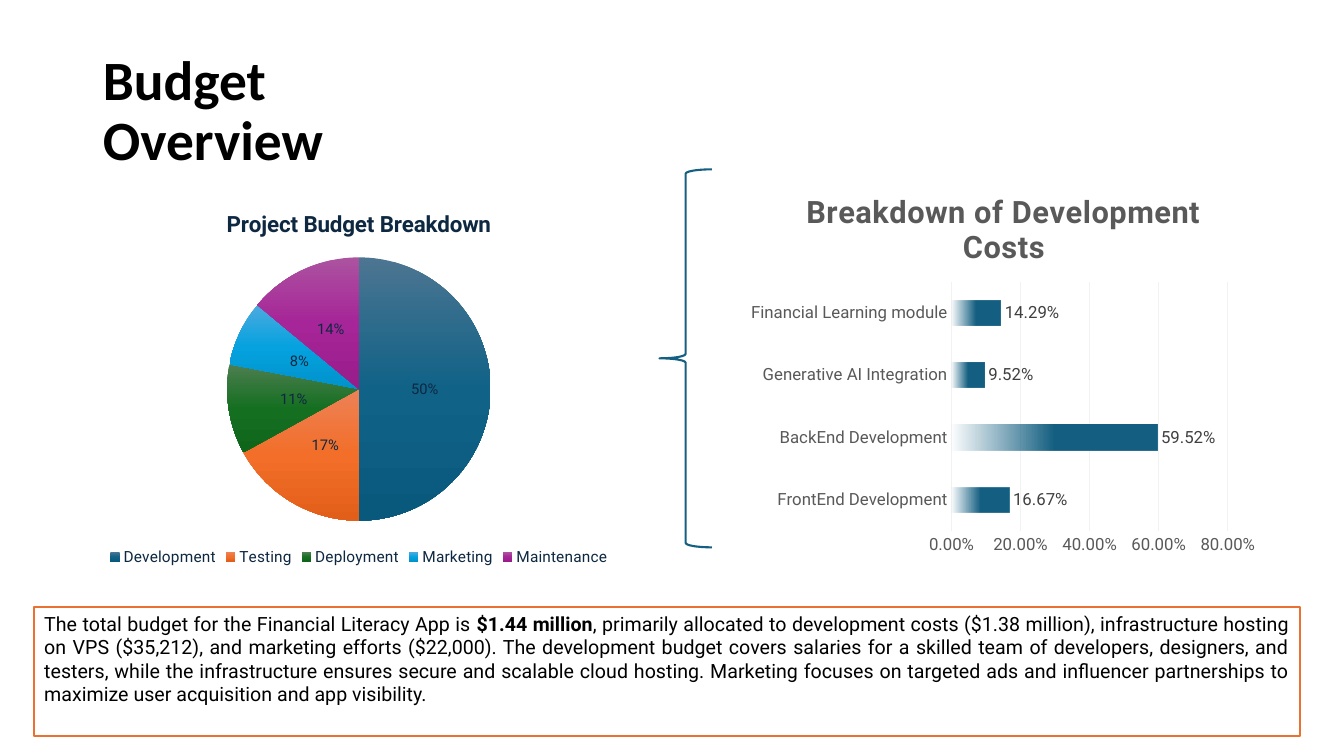
import lxml.etree
import pptx
import pptx.chart.data
import pptx.dml.color
import pptx.enum.chart
import pptx.enum.shapes
import pptx.enum.text
import pptx.oxml
import pptx.oxml.ns
import pptx.util

Inches, Pt = pptx.util.Inches, pptx.util.Pt
qn = pptx.oxml.ns.qn


def style(font, size, colour, name="Roboto", bold=False):
    font.size, font.name, font.bold = Pt(size), name, bold
    font.color.rgb = pptx.dml.color.RGBColor.from_string(colour)


def set_plot_area(chart, **fractions):
    """Place the inner plot area at x, y, w, h as fractions of the chart."""
    plot_area = chart.element.find(".//" + qn("c:plotArea"))
    for old_layout in plot_area.findall(qn("c:layout")):
        plot_area.remove(old_layout)
    layout = lxml.etree.Element(qn("c:layout"))
    manual = lxml.etree.SubElement(layout, qn("c:manualLayout"))
    settings = {"layoutTarget": "inner", "xMode": "edge", "yMode": "edge", **fractions}
    for tag, value in settings.items():
        lxml.etree.SubElement(manual, qn("c:" + tag)).set("val", str(value))
    plot_area.insert(0, layout)


prs = pptx.Presentation()
prs.slide_width, prs.slide_height = Inches(13.33), Inches(7.5)
slide = prs.slides.add_slide(prs.slide_layouts[5])

# Title
title = slide.shapes.title
title.left, title.top = Inches(0.92), Inches(0.89)
title.width, title.height = Inches(3.05), Inches(0.46)
title.text_frame.text = "Budget Overview"
title.text_frame.word_wrap = True
title.text_frame.auto_size = pptx.enum.text.MSO_AUTO_SIZE.NONE
title.text_frame.vertical_anchor = pptx.enum.text.MSO_ANCHOR.MIDDLE
heading = title.text_frame.paragraphs[0]
heading.alignment = pptx.enum.text.PP_ALIGN.LEFT
heading.line_spacing = 0.9
style(heading.runs[0].font, 39.6, "000000", "Calibri", True)

# Development cost bars
cost_data = pptx.chart.data.CategoryChartData(number_format="0.00%")
cost_data.categories = ["FrontEnd Development", "BackEnd Development",
                        "Generative AI Integration", "Financial Learning module"]
cost_data.add_series("Series 1", [0.1667, 0.5952, 0.0952, 0.1429])
costs = slide.shapes.add_chart(
    pptx.enum.chart.XL_CHART_TYPE.BAR_CLUSTERED,
    Inches(7.37), Inches(1.71), Inches(5.17), Inches(3.87), cost_data).chart
costs.has_legend = False
cost_plot = costs.plots[0]
cost_plot.gap_width = 150
cost_plot.vary_by_categories = False
set_plot_area(costs, x=0.4, y=0.28, w=0.53, h=0.64)
for axis in (costs.category_axis, costs.value_axis):
    axis.major_tick_mark = axis.minor_tick_mark = pptx.enum.chart.XL_TICK_MARK.NONE
    axis.format.line.fill.background()
    style(axis.tick_labels.font, 12, "595959")
percent_axis = costs.value_axis
percent_axis.minimum_scale, percent_axis.maximum_scale = 0, 0.8
percent_axis.major_unit = 0.2
percent_axis.tick_labels.number_format = "0.00%"
percent_axis.tick_labels.number_format_is_linked = False
grid = percent_axis.major_gridlines.format.line
grid.width = Pt(0.75)
grid.color.rgb = pptx.dml.color.RGBColor.from_string("F2F2F2")

# Project budget pie
budget_data = pptx.chart.data.CategoryChartData()
budget_data.categories = ["Development", "Testing", "Deployment", "Marketing", "Maintenance"]
budget_data.add_series("Project Budget Breakdown", [50, 17, 11, 8, 14])
budget = slide.shapes.add_chart(
    pptx.enum.chart.XL_CHART_TYPE.PIE,
    Inches(0.45), Inches(1.91), Inches(6.22), Inches(3.75), budget_data).chart
budget.plots[0].vary_by_categories = True
set_plot_area(budget, x=0.29, y=0.17, w=0.42, h=0.7)
budget.has_legend = True
budget.legend.position = pptx.enum.chart.XL_LEGEND_POSITION.BOTTOM
budget.legend.include_in_layout = False
style(budget.legend.font, 11, "0E2841")

# Titles and data labels of both charts
for chart, name, name_size, name_colour, label_size, label_colour in (
        (costs, "Breakdown of Development Costs", 22, "595959", 12, "404040"),
        (budget, "Project Budget Breakdown", 16, "0E2841", 10.5, "0E2841")):
    style(chart.font, 10, "000000")
    chart.has_title = True
    chart.chart_title.include_in_layout = False
    chart.chart_title.text_frame.text = name
    name_run = chart.chart_title.text_frame.paragraphs[0].runs[0]
    style(name_run.font, name_size, name_colour, bold=True)
    if chart is costs:
        name_run.font._element.set("spc", "50")
    chart.plots[0].has_data_labels = True
    labels = chart.plots[0].data_labels
    style(labels.font, label_size, label_colour)
    labels.number_format = "0.00%" if chart is costs else "0%"
    labels.number_format_is_linked = False
    labels.show_value = chart is costs
    labels.show_percentage = chart is budget
    labels.position = (pptx.enum.chart.XL_LABEL_POSITION.OUTSIDE_END if chart is costs
                       else pptx.enum.chart.XL_LABEL_POSITION.CENTER)

# Gradients: (position %, colour, opacity %)
slice_colours = [("4C7591", "106287", "09597D"), ("ED8257", "F26E29", "E25F1A"),
                 ("4D7E50", "156F21", "0F661B"), ("4CAADF", "05A2DF", "0092CB"),
                 ("AC53A0", "A62598", "991C8B")]
cost_bars, budget_slices = cost_plot.series[0], budget.plots[0].series[0]
gradients = [(cost_bars, 180, [(50, "156082", 100), (100, "156082", 0)])]
for index, colours in enumerate(slice_colours):
    stops = [(position, colour, 100) for position, colour in zip((0, 50, 100), colours)]
    gradients.append((budget_slices.points[index], 270, stops))
for filled, angle, stops in gradients:
    filled.format.fill.gradient()
    filled.format.fill.gradient_angle = angle
    stop_list = filled.format.fill.gradient_stops[0]._gs.getparent()
    for default_stop in list(stop_list):
        stop_list.remove(default_stop)
    for position, colour, opacity in stops:
        stop = lxml.etree.SubElement(stop_list, qn("a:gs"), pos=str(position * 1000))
        rgb = lxml.etree.SubElement(stop, qn("a:srgbClr"), val=colour)
        if opacity < 100:
            lxml.etree.SubElement(rgb, qn("a:alpha"), val=str(opacity * 1000))

# Summary box and brace
summary = slide.shapes.add_shape(
    pptx.enum.shapes.MSO_SHAPE.RECTANGLE, Inches(0.34), Inches(6.02), Inches(12.55), Inches(1.28))
summary.fill.solid()
summary.fill.fore_color.rgb = pptx.dml.color.RGBColor.from_string("FFFFFF")
summary.text_frame.word_wrap = True
summary.text_frame.vertical_anchor = pptx.enum.text.MSO_ANCHOR.TOP
statement = summary.text_frame.paragraphs[0]
statement.alignment = pptx.enum.text.PP_ALIGN.JUSTIFY
for words, bold in (
        ("The total budget for the Financial Literacy App is ", False),
        ("$1.44 million", True),
        (", primarily allocated to development costs ($1.38 million), infrastructure hosting on "
         "VPS ($35,212), and marketing efforts ($22,000). The development budget covers salaries "
         "for a skilled team of developers, designers, and testers, while the infrastructure "
         "ensures secure and scalable cloud hosting. Marketing focuses on targeted ads and "
         "influencer partnerships to maximize user acquisition and app visibility.", False)):
    run = statement.add_run()
    run.text = words
    style(run.font, 14, "000000", bold=bold)

brace = slide.shapes.add_shape(
    pptx.enum.shapes.MSO_SHAPE.LEFT_BRACE, Inches(6.54), Inches(1.68), Inches(0.52), Inches(3.75))
brace.fill.background()

for shape, colour in ((summary, "E97132"), (brace, "156082")):
    shape.shadow.inherit = False
    shape.line.width = Pt(1.5)
    shape.line.color.rgb = pptx.dml.color.RGBColor.from_string(colour)

prs.save("out.pptx")
